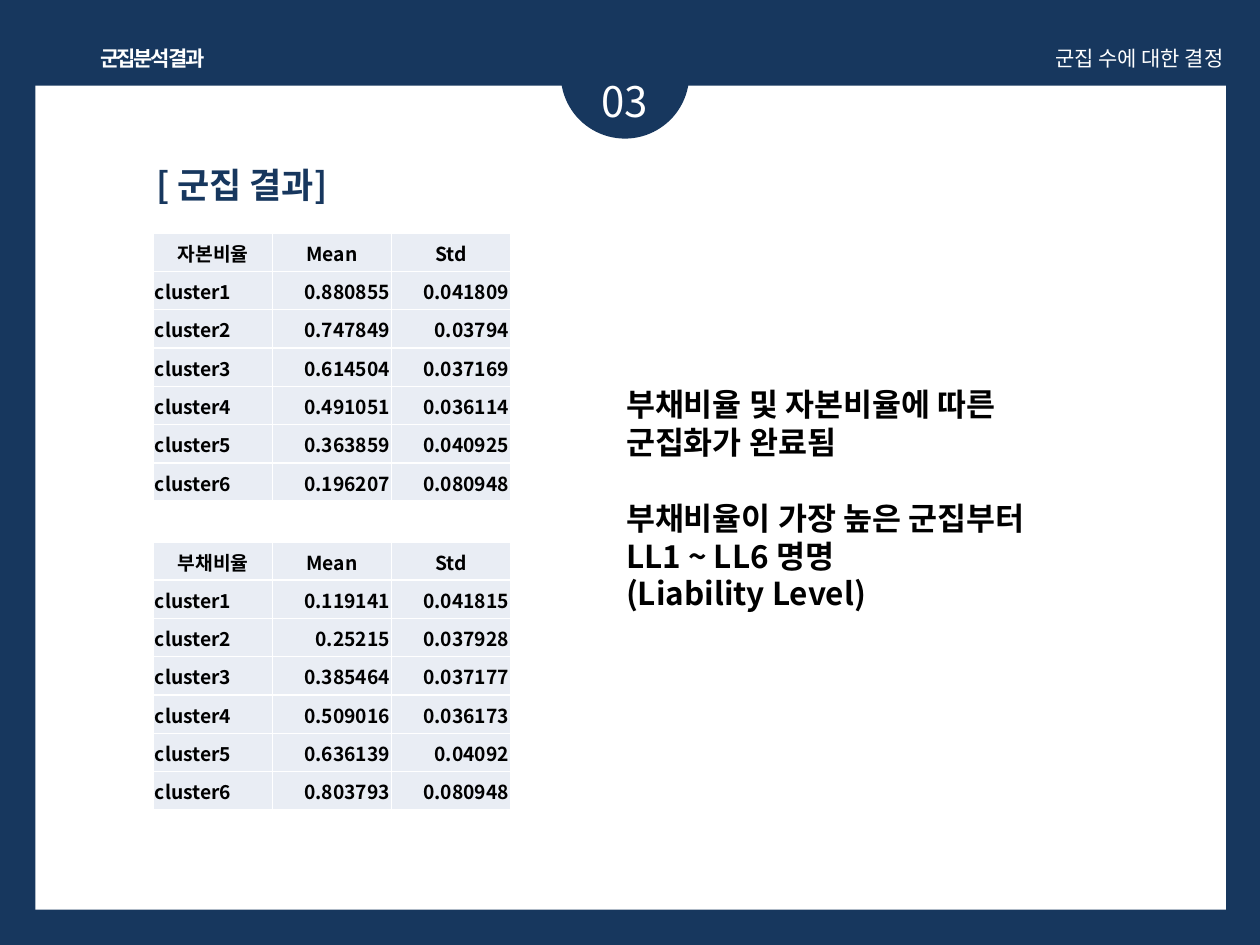
"""Build the cluster analysis result slide."""
from dataclasses import dataclass

from lxml import etree
from pptx import Presentation, util as u
from pptx.dml.color import RGBColor
from pptx.enum import shapes, text
from pptx.oxml.ns import qn

LEFT, CENTER, RIGHT = text.PP_ALIGN.LEFT, text.PP_ALIGN.CENTER, text.PP_ALIGN.RIGHT


@dataclass(frozen=True)
class Theme:
    font: str = "Noto Sans CJK KR"
    navy: str = "17375E"
    white: str = "FFFFFF"
    black: str = "000000"
    cell: str = "E9EDF4"
    number: float = 24
    title: float = 20
    body: float = 18
    header: float = 12
    table: float = 11


class SlideBuilder:
    def __init__(self, slide, theme):
        self.slide = slide
        self.theme = theme

    def background(self, color):
        fill = self.slide.background.fill
        fill.solid()
        fill.fore_color.rgb = RGBColor.from_string(color)

    def shape(self, kind, place, color):
        shape = self.slide.shapes.add_shape(kind, *map(u.Inches, place))
        shape.shadow.inherit = False
        shape.fill.solid()
        shape.fill.fore_color.rgb = RGBColor.from_string(color)
        shape.line.fill.background()

    def span(self, para, words, size, color, bold=False, spacing=None):
        span = para.add_run()
        span.text = words
        span.font.size = u.Pt(size)
        span.font.name = self.theme.font
        span.font.bold = bold
        span.font.color.rgb = RGBColor.from_string(color)
        properties = span.font._element
        etree.SubElement(properties, qn("a:ea"), typeface=self.theme.font)
        if spacing is not None:
            properties.set("spc", str(round(spacing * 100)))

    def text(self, place, groups, size, color, align=LEFT, wrap=True, leading=1.28, **style):
        frame = self.slide.shapes.add_textbox(*map(u.Inches, place)).text_frame
        frame.word_wrap = wrap
        frame.auto_size = text.MSO_AUTO_SIZE.SHAPE_TO_FIT_TEXT
        para = frame.paragraphs[0]
        pitch = u.Pt(size * leading)
        for group_index, group in enumerate(groups):
            for line_index, line in enumerate(group):
                if group_index or line_index:
                    para = frame.add_paragraph()
                if group_index and not line_index:
                    para.space_before = pitch
                para.alignment = align
                para.line_spacing = pitch
                self.span(para, line, size, color, **style)

    def borders(self, cell):
        properties = cell._tc.get_or_add_tcPr()
        for side in ("lnL", "lnR", "lnT", "lnB"):
            line = etree.SubElement(properties, qn(f"a:{side}"), w=str(u.Pt(1)))
            fill = etree.SubElement(line, qn("a:solidFill"))
            etree.SubElement(fill, qn("a:srgbClr"), val=self.theme.white)

    def table(self, place, rows):
        table = self.slide.shapes.add_table(len(rows), len(rows[0]), *map(u.Inches, place)).table
        table.first_row = table.horz_banding = False
        for row_index, row in enumerate(rows):
            for column_index, words in enumerate(row):
                cell = table.cell(row_index, column_index)
                self.borders(cell)
                cell.fill.solid()
                cell.fill.fore_color.rgb = RGBColor.from_string(self.theme.cell)
                cell.margin_left = cell.margin_right = cell.margin_top = u.Inches(0.01)
                cell.margin_bottom = 0
                cell.vertical_anchor = text.MSO_ANCHOR.MIDDLE
                para = cell.text_frame.paragraphs[0]
                para.alignment = CENTER if row_index == 0 else RIGHT if column_index else LEFT
                self.span(para, words, self.theme.table, self.theme.black, bold=True)


def cluster_rows(name, means, deviations):
    rows = [(name, "Mean", "Std")]
    for index, values in enumerate(zip(means.split(), deviations.split()), 1):
        rows.append((f"cluster{index}", *values))
    return rows


def main():
    theme = Theme()
    deck = Presentation()
    deck.slide_width, deck.slide_height = u.Inches(10), u.Inches(7.5)
    page = SlideBuilder(deck.slides.add_slide(deck.slide_layouts[6]), theme)

    page.background(theme.navy)
    page.shape(shapes.MSO_SHAPE.RECTANGLE, (0.28, 0.68, 9.45, 6.54), theme.white)
    page.shape(shapes.MSO_SHAPE.OVAL, (4.45, 0.08, 1.02, 1.02), theme.navy)
    page.text((4.37, 0.52, 1.18, 0.5), [["03"]], theme.number, theme.white, CENTER)
    page.text((0.65, 0.3, 1.12, 0.3), [["군집분석 결과"]], theme.header, theme.white,
              CENTER, wrap=False, bold=True, spacing=-1.5)
    page.text((5.87, 0.3, 3.94, 0.3), [["군집 수에 대한 결정"]], theme.header, theme.white, RIGHT)

    capital = cluster_rows("자본비율",
                           "0.880855 0.747849 0.614504 0.491051 0.363859 0.196207",
                           "0.041809 0.03794 0.037169 0.036114 0.040925 0.080948")
    debt = cluster_rows("부채비율",
                        "0.119141 0.25215 0.385464 0.509016 0.636139 0.803793",
                        "0.041815 0.037928 0.037177 0.036173 0.04092 0.080948")
    for top, rows in ((1.85, capital), (4.3, debt)):
        page.table((1.22, top, 2.83, 2.13), rows)

    page.text((1.14, 1.23, 1.81, 0.44), [["[ 군집 결과]"]], theme.title, theme.navy, bold=True)
    findings = [
        ["부채비율 및 자본비율에 따른", "군집화가 완료됨"],
        ["부채비율이 가장 높은 군집부터", "LL1 ~ LL6 명명", "(Liability Level)"],
    ]
    page.text((4.87, 3.01, 3.75, 1.92), findings, theme.body, theme.black,
              wrap=False, leading=1.2, bold=True)
    deck.save("out.pptx")


if __name__ == "__main__":
    main()
